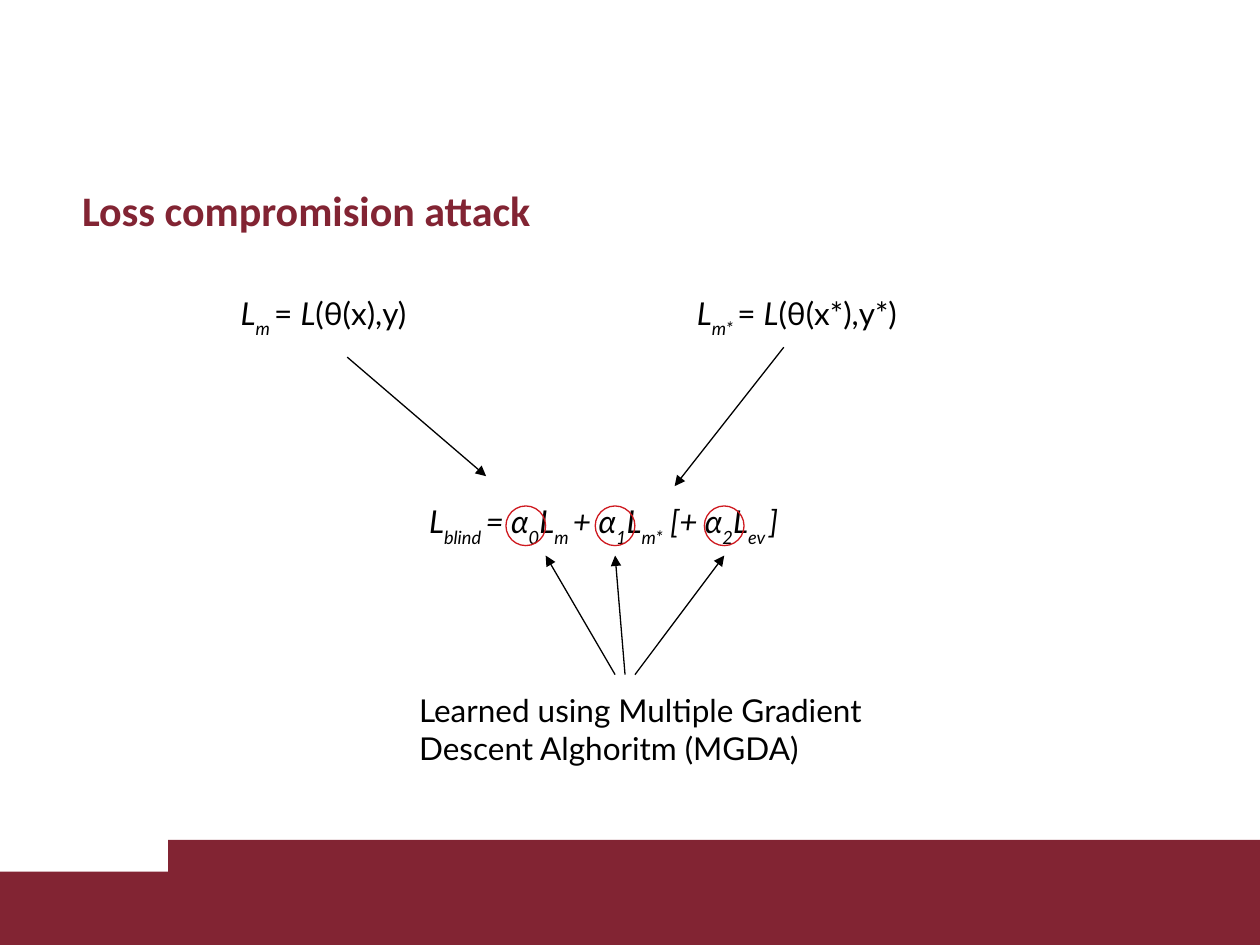
from dataclasses import dataclass

from lxml.etree import SubElement
from pptx import Presentation
from pptx.dml.color import RGBColor
from pptx.enum.shapes import MSO_CONNECTOR, MSO_SHAPE
from pptx.enum.text import MSO_ANCHOR, MSO_AUTO_SIZE, PP_ALIGN
from pptx.oxml.ns import qn
from pptx.util import Cm, Pt


@dataclass(frozen=True)
class Theme:
    accent: RGBColor = RGBColor(0x82, 0x24, 0x33)
    text: RGBColor = RGBColor(0, 0, 0)
    ring: RGBColor = RGBColor(0xCE, 0x18, 0x1E)
    title_font: str = "Calibri"
    body_font: str = "Lato"
    title_size: Pt = Pt(24)
    body_size: Pt = Pt(18)
    line: Pt = Pt(0.75)


T = Theme()
WIDTH, HEIGHT = 25.4, 19.05  # all lengths in cm

TITLE = "Loss compromision attack"
TITLE_BOX = (1.4, 3.6, 20.6, 1.4)
BARS = [(0, 17.57), (3.39, 16.93)]  # left, top; each runs to the slide corner

# Runs are (text, style): "i" italic, "s" italic subscript, "" upright
TEXTS = [
    ((4.6, 5.8, 5.4, 2), [("L", "i"), ("m ", "s"), ("= ", ""), ("L", "i"), ("(θ(x),y)", "")]),
    ((13.8, 5.8, 5.4, 2), [("L", "i"), ("m* ", "s"), ("= ", ""), ("L", "i"), ("(θ(x*),y*)", "")]),
    ((8.4, 10, 9.4, 2), [
        ("L", "i"), ("blind ", "s"),
        ("= α", "i"), ("0", "s"), ("L", "i"), ("m ", "s"),
        ("+ α", "i"), ("1", "s"), ("L", "i"), ("m*", "s"),
        (" [+ α", "i"), ("2", "s"), ("L", "i"), ("ev ", "s"), ("]", "i"),
    ]),
    ((8.2, 13.8, 10.4, 2), [("Learned using Multiple Gradient Descent Alghoritm (MGDA)", "")]),
]

ARROWS = [  # from x, y, to x, y
    (7, 7.2, 9.8, 9.6),
    (15.8, 7, 13.6, 9.8),
    (12.4, 13.6, 11, 11.2),
    (12.6, 13.6, 12.4, 11.2),
    (12.8, 13.6, 14.6, 11.2),
]

RING_LEFTS = [10.2, 12, 14.2]
RING_TOP, RING_SIZE = 10.2, 0.8


def cm(*values):
    return [Cm(v) for v in values]


def add_bar(s, left, top):
    sp = s.shapes.add_shape(MSO_SHAPE.RECTANGLE, *cm(left, top, WIDTH - left, HEIGHT - top))
    sp.shadow.inherit = False
    sp.fill.solid()
    sp.fill.fore_color.rgb = T.accent
    sp.line.fill.background()


def set_title(s):
    sp = s.shapes.title
    sp.left, sp.top, sp.width, sp.height = cm(*TITLE_BOX)
    tf = sp.text_frame
    tf.text = TITLE
    tf.auto_size = MSO_AUTO_SIZE.NONE
    tf.vertical_anchor = MSO_ANCHOR.TOP
    p = tf.paragraphs[0]
    p.alignment = PP_ALIGN.LEFT
    p.font.name, p.font.size, p.font.bold = T.title_font, T.title_size, True
    p.font.color.rgb = T.accent


def add_text(s, box, runs):
    tf = s.shapes.add_textbox(*cm(*box)).text_frame
    tf.word_wrap = True
    p = tf.paragraphs[0]
    p.font.name, p.font.size = T.body_font, T.body_size
    p.font.color.rgb = T.text
    for text, style in runs:
        r = p.add_run()
        r.text = text
        r.font.italic = style != ""
        if style == "s":
            r._r.get_or_add_rPr().set("baseline", "-33000")


def add_arrow(s, ends):
    c = s.shapes.add_connector(MSO_CONNECTOR.STRAIGHT, *cm(*ends))
    c.line.color.rgb = T.text
    c.line.width = T.line
    SubElement(c.line._get_or_add_ln(), qn("a:tailEnd"), type="triangle")
    SubElement(c._element.spPr, qn("a:effectLst"))


def add_ring(s, left):
    sp = s.shapes.add_shape(MSO_SHAPE.OVAL, *cm(left, RING_TOP, RING_SIZE, RING_SIZE))
    sp.shadow.inherit = False
    sp.fill.background()
    sp.line.color.rgb = T.ring
    sp.line.width = T.line


def main():
    prs = Presentation()
    prs.slide_width, prs.slide_height = cm(WIDTH, HEIGHT)
    s = prs.slides.add_slide(prs.slide_layouts[5])
    set_title(s)
    for left, top in BARS:
        add_bar(s, left, top)
    for box, runs in TEXTS:
        add_text(s, box, runs)
    for ends in ARROWS:
        add_arrow(s, ends)
    for left in RING_LEFTS:
        add_ring(s, left)
    prs.save("out.pptx")


if __name__ == "__main__":
    main()
